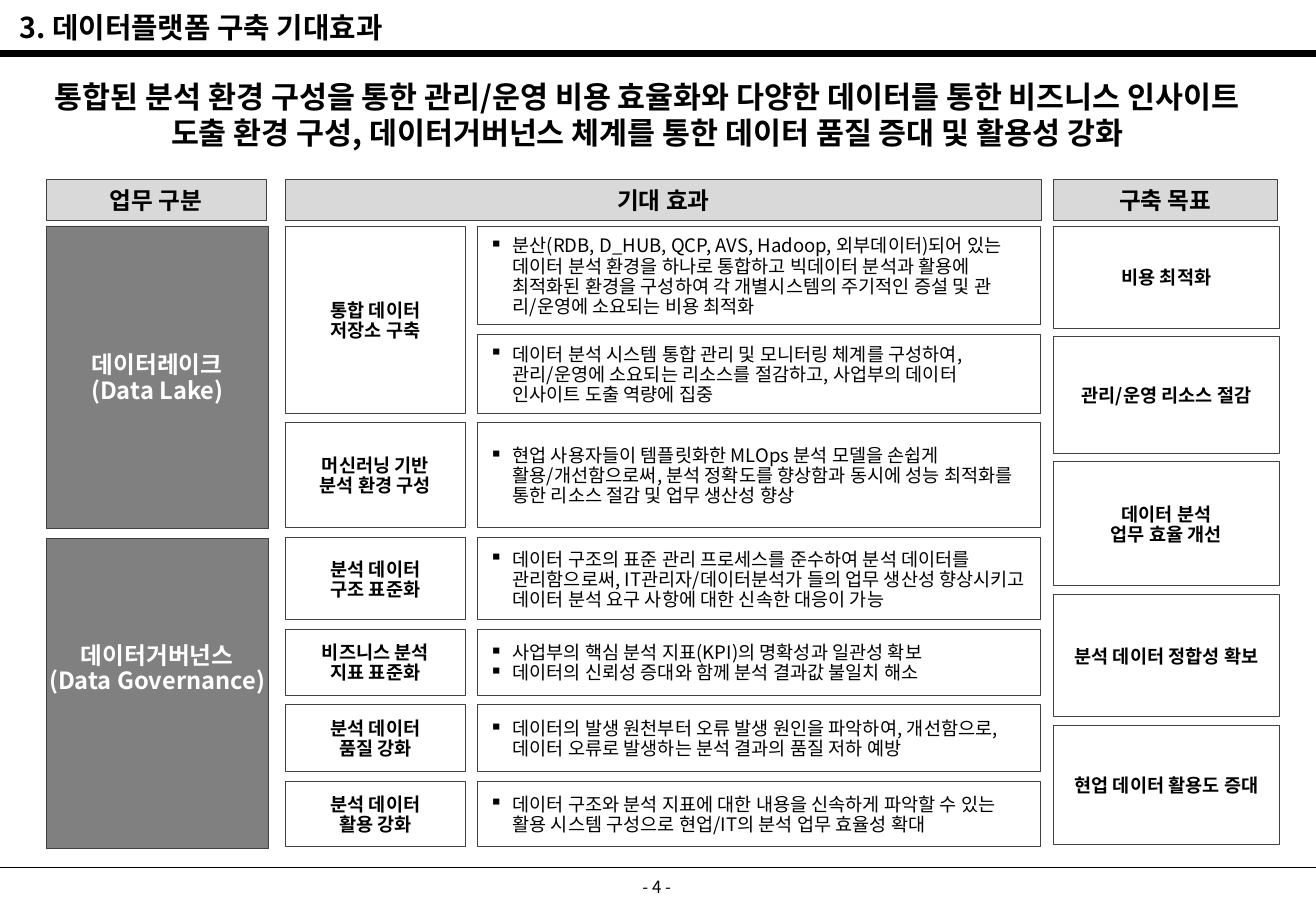
import pptx
import pptx.util
import pptx.dml.color
import pptx.enum.shapes
import pptx.enum.text
import pptx.oxml.ns
import lxml.etree

ALIGN = pptx.enum.text.PP_ALIGN
ANCHOR = pptx.enum.text.MSO_ANCHOR
FONT = "Noto Sans CJK KR"
SLIDE_W, SLIDE_H = 10.83, 7.5
BULLET_INDENT = 0.19

# Grid columns: left, width
CATEGORY = (0.38, 1.83)
TASK = (2.35, 1.48)
EFFECT = (3.93, 4.63)
GOAL = (8.67, 1.86)

# Grid rows: tops of the cells in a column, then the lower limit
CATEGORY_ROWS = (1.86, 4.43, 7.06)
TASK_ROWS = (1.86, 3.48, 4.42, 5.18, 5.8, 6.43, 7.05)
EFFECT_ROWS = (1.86, 2.75, *TASK_ROWS[1:])
GOAL_ROWS = (1.86, 2.77, 3.8, 4.89, 5.97, 7.02)
HEADER_TOP, HEADER_H = 1.48, 0.33

HEADERS = [
    ("업무 구분", 0.38, 1.81),
    ("기대 효과", 2.35, 6.22),
    ("구축 목표", 8.67, 1.84),
]
CATEGORIES = [
    ("데이터레이크", "(Data Lake)"),
    ("데이터거버넌스", "(Data Governance)"),
]
TASKS = [
    ("통합 데이터", "저장소 구축"),
    ("머신러닝 기반", "분석 환경 구성"),
    ("분석 데이터", "구조 표준화"),
    ("비즈니스 분석", "지표 표준화"),
    ("분석 데이터", "품질 강화"),
    ("분석 데이터", "활용 강화"),
]
EFFECTS = [
    ("분산(RDB, D_HUB, QCP, AVS, Hadoop, 외부데이터)되어 있는 데이터 분석 환경을 하나로 "
     "통합하고 빅데이터 분석과 활용에 최적화된 환경을 구성하여 각 개별시스템의 주기적인 증설 및 "
     "관리/운영에 소요되는 비용 최적화",),
    ("데이터 분석 시스템 통합 관리 및 모니터링 체계를 구성하여, 관리/운영에 소요되는 리소스를 "
     "절감하고, 사업부의 데이터 인사이트 도출 역량에 집중",),
    ("현업 사용자들이 템플릿화한 MLOps 분석 모델을 손쉽게 활용/개선함으로써, 분석 정확도를 "
     "향상함과 동시에 성능 최적화를 통한 리소스 절감 및 업무 생산성 향상",),
    ("데이터 구조의 표준 관리 프로세스를 준수하여 분석 데이터를 관리함으로써, IT관리자/데이터분석가 "
     "들의 업무 생산성 향상시키고 데이터 분석 요구 사항에 대한 신속한 대응이 가능",),
    ("사업부의 핵심 분석 지표(KPI)의 명확성과 일관성 확보",
     "데이터의 신뢰성 증대와 함께 분석 결과값 불일치 해소"),
    ("데이터의 발생 원천부터 오류 발생 원인을 파악하여, 개선함으로, 데이터 오류로 발생하는 "
     "분석 결과의 품질 저하 예방",),
    ("데이터 구조와 분석 지표에 대한 내용을 신속하게 파악할 수 있는 활용 시스템 구성으로 "
     "현업/IT의 분석 업무 효율성 확대",),
]
GOALS = [
    ("비용 최적화",),
    ("관리/운영 리소스 절감",),
    ("데이터 분석", "업무 효율 개선"),
    ("분석 데이터 정합성 확보",),
    ("현업 데이터 활용도 증대",),
]


def inches(*lengths):
    return [pptx.util.Inches(length) for length in lengths]


def paint(color_format, hex_color):
    color_format.rgb = pptx.dml.color.RGBColor.from_string(hex_color)


def add_bullet(paragraph):
    properties = paragraph._p.get_or_add_pPr()
    indent = pptx.util.Inches(BULLET_INDENT)
    properties.set("marL", str(indent))
    properties.set("indent", str(-indent))
    mark = lxml.etree.SubElement(properties, pptx.oxml.ns.qn("a:buChar"))
    mark.set("char", "▪")


def write(frame, lines, size=11, color="000000", bold=False, align=ALIGN.CENTER,
          anchor=ANCHOR.TOP, spacing=None, bullets=False, wrap=True,
          inset_top=0.05, inset_bottom=0.05):
    frame.auto_size = pptx.enum.text.MSO_AUTO_SIZE.NONE
    frame.word_wrap = wrap
    frame.vertical_anchor = anchor
    frame.margin_left, frame.margin_right = inches(0.1, 0.1)
    frame.margin_top, frame.margin_bottom = inches(inset_top, inset_bottom)
    for index, line in enumerate(lines):
        paragraph = frame.add_paragraph() if index else frame.paragraphs[0]
        if bullets:
            add_bullet(paragraph)
        paragraph.alignment = align
        if spacing:
            paragraph.line_spacing = spacing
        run = paragraph.add_run()
        run.text = line
        run.font.size = pptx.util.Pt(size)
        run.font.bold = bold
        run.font.name = FONT
        paint(run.font.color, color)
        east_asian = lxml.etree.SubElement(run.font._element, pptx.oxml.ns.qn("a:ea"))
        east_asian.set("typeface", FONT)


def add_text(slide, place, lines, **text_format):
    write(slide.shapes.add_textbox(*inches(*place)).text_frame, lines, **text_format)


def add_cell(slide, place, lines, fill=None, **text_format):
    cell = slide.shapes.add_shape(
        pptx.enum.shapes.MSO_SHAPE.ROUNDED_RECTANGLE, *inches(*place))
    cell.adjustments[0] = 0
    cell.shadow.inherit = False
    if fill:
        cell.fill.solid()
        paint(cell.fill.fore_color, fill)
    else:
        cell.fill.background()
    paint(cell.line.color, "404040")
    cell.line.width = pptx.util.Pt(0.25)
    write(cell.text_frame, lines, anchor=ANCHOR.MIDDLE, spacing=0.9,
          **{"inset_top": 0.08, **text_format})


def add_column(slide, column, rows, contents, gap=0.08, **cell_format):
    left, width = column
    for top, limit, lines in zip(rows, rows[1:], contents):
        add_cell(slide, (left, top, width, limit - top - gap), lines, **cell_format)


def add_rule(slide, height, weight):
    rule = slide.shapes.add_connector(
        pptx.enum.shapes.MSO_CONNECTOR.STRAIGHT, *inches(0, height, SLIDE_W, height))
    paint(rule.line.color, "000000")
    rule.line.width = pptx.util.Pt(weight)
    lxml.etree.SubElement(rule._element.spPr, pptx.oxml.ns.qn("a:effectLst"))


def main():
    deck = pptx.Presentation()
    deck.slide_width, deck.slide_height = inches(SLIDE_W, SLIDE_H)
    slide = deck.slides.add_slide(deck.slide_layouts[5])

    # Title, rules and page number
    add_rule(slide, 7.14, 0.75)
    add_rule(slide, 0.44, 4.5)
    title = slide.shapes.title
    title.left, title.top, title.width, title.height = inches(0.06, 0.03, 10.48, 0.39)
    write(title.text_frame, ["3. 데이터플랫폼 구축 기대효과"],
          size=17, bold=True, align=ALIGN.LEFT)
    add_text(slide, (4.14, 7.17, 2.53, 0.33), ["- 4 -"], size=10)

    # Key message
    add_text(slide, (0.13, 0.59, 10.39, 0.71),
             ["통합된 분석 환경 구성을 통한 관리/운영 비용 효율화와 다양한 데이터를 통한 비즈니스 "
              "인사이트 도출 환경 구성, 데이터거버넌스 체계를 통한 데이터 품질 증대 및 활용성 강화"],
             size=18, bold=True)

    # Column headers
    for header, left, width in HEADERS:
        add_cell(slide, (left, HEADER_TOP, width, HEADER_H), [header],
                 fill="D9D9D9", size=14, bold=True, wrap=False)

    # Categories; the second one's text sits above the middle
    for index, inset_bottom in enumerate((0.05, 0.47)):
        add_column(slide, CATEGORY, CATEGORY_ROWS[index:], CATEGORIES[index:index + 1],
                   fill="808080", size=14, color="FFFFFF", bold=True, wrap=False,
                   inset_bottom=inset_bottom)

    # Tasks, effects and goals
    add_column(slide, TASK, TASK_ROWS, TASKS, bold=True)
    add_column(slide, EFFECT, EFFECT_ROWS, EFFECTS, align=ALIGN.LEFT, bullets=True)
    add_column(slide, GOAL, GOAL_ROWS, GOALS, gap=0.07, bold=True)

    deck.save("out.pptx")


if __name__ == "__main__":
    main()
